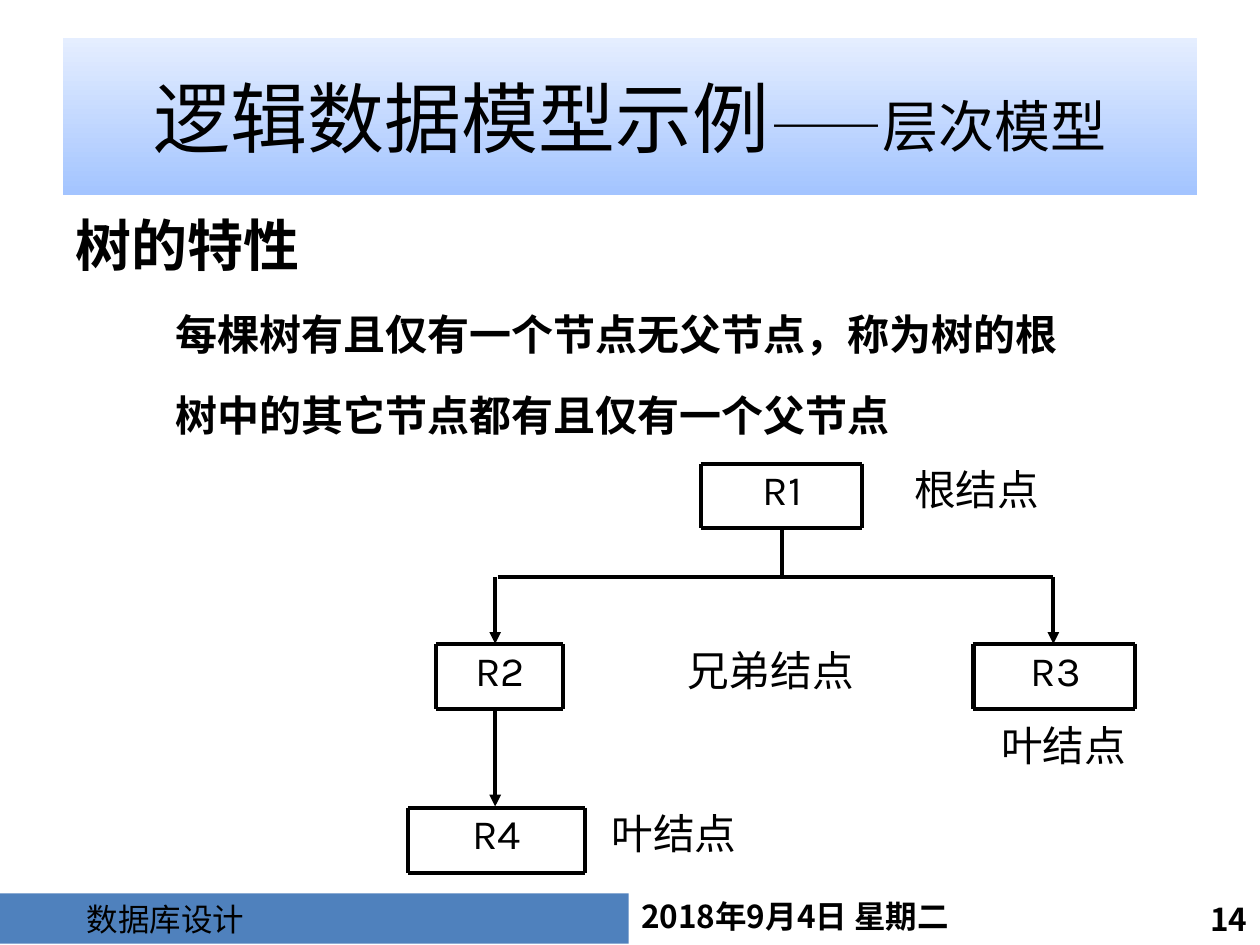
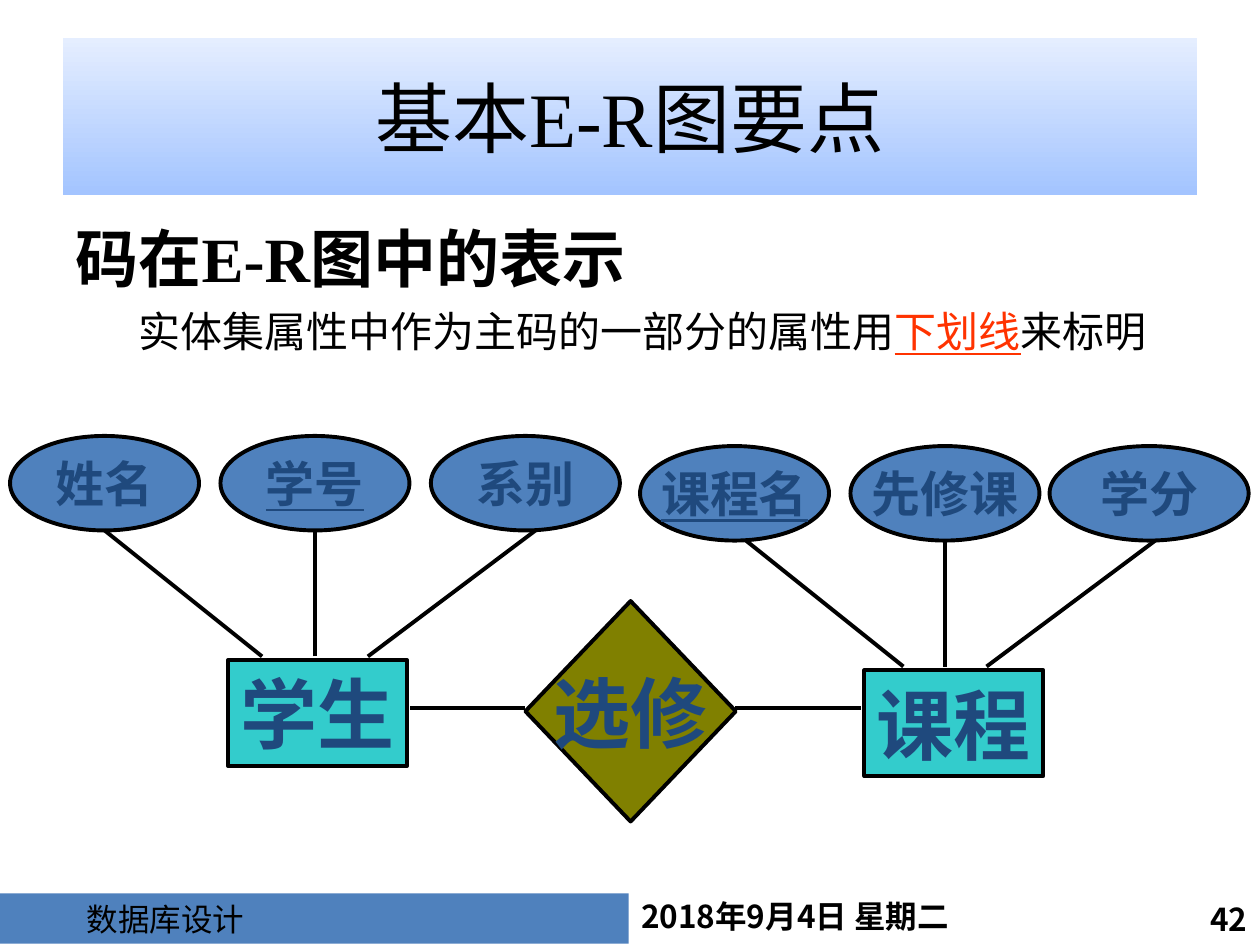
"""Build two database design slides: a hierarchical model and an E-R diagram."""
from dataclasses import dataclass

from lxml import etree
from pptx import Presentation
from pptx.dml.color import RGBColor
from pptx.enum import shapes, text
from pptx.oxml import ns
from pptx.slide import Slide
from pptx.util import Inches, Pt

COLORS = {
    "ink": "000000", "bar": "4F81BD", "band_bottom": "A3C4FF", "band_top": "E5EEFF",
    "accent": "FF3300", "entity": "33CCCC", "relation": "808000", "label": "1F497D",
}
CHINESE, SERIF, SANS, TREE_FONT = "Noto Sans CJK SC", "Times New Roman", "Calibri", "Karla"
HEAVY, THIN = 2.25, 1
TREE_TEXT_HEIGHT = 0.51
ATTRIBUTE_HEIGHT = 0.75
ENTITY_WIDTH, ENTITY_HEIGHT = 1.42, 0.84
LEFT, CENTER, RIGHT = text.PP_ALIGN.LEFT, text.PP_ALIGN.CENTER, text.PP_ALIGN.RIGHT
TOP, MIDDLE = text.MSO_ANCHOR.TOP, text.MSO_ANCHOR.MIDDLE
SHAPE = shapes.MSO_SHAPE


@dataclass(frozen=True)
class Span:
    """A run of text with its format."""
    words: str
    size: float
    font: str = CHINESE
    color: str = "ink"
    bold: bool = False
    underline: bool = False


@dataclass(frozen=True)
class Para:
    """A paragraph of spans with its layout."""
    spans: tuple[Span, ...]
    align: text.PP_ALIGN = LEFT
    level: int = 0
    indent: float = 0
    before: float = 0
    spacing: float = 1.0


@dataclass(frozen=True)
class Area:
    """A rectangle on the slide in inches."""
    left: float
    top: float
    width: float
    height: float


@dataclass(frozen=True)
class Line:
    """A straight line in inches, with an optional arrowhead."""
    x1: float
    y1: float
    x2: float
    y2: float
    arrow: bool = False
    weight: float = HEAVY


@dataclass(frozen=True)
class TreeText:
    """A node name or caption of the tree."""
    words: str
    left: float
    top: float
    width: float


@dataclass(frozen=True)
class Frame:
    """A node outline, whose inner thin sides may be shifted."""
    left: float
    right: float
    top: float
    height: float = 0.52
    thin_sides: tuple[float, ...] = ()


@dataclass(frozen=True)
class Attribute:
    """An attribute ellipse and the point where its spoke starts."""
    words: str
    left: float
    spoke: float
    width: float = 1.5
    key: bool = False


@dataclass(frozen=True)
class Entity:
    """An entity with its attributes above it."""
    words: str
    left: float
    top: float
    center: float
    reach: float
    attributes: tuple[Attribute, ...]


TREE_TEXTS = (
    TreeText("R1", 5.57, 3.68, 1.28),
    TreeText("R2", 3.03, 5.11, 1.88),
    TreeText("R3", 7.74, 5.11, 1.28),
    TreeText("R4", 3.23, 6.41, 1.42),
    TreeText("根结点", 6.85, 3.68, 1.8),
    TreeText("兄弟结点", 5.18, 5.11, 1.87),
    TreeText("叶结点", 7.73, 5.71, 1.42),
    TreeText("叶结点", 4.64, 6.41, 1.42),
)
TREE_FRAMES = (
    Frame(5.56, 6.84, 3.68, 0.51, (5.57, 6.85)),
    Frame(3.46, 4.47, 5.11),
    Frame(7.72, 9.01, 5.11, thin_sides=(7.74, 9.02)),
    Frame(3.24, 4.64, 6.41, thin_sides=(3.23, 4.64)),
)
TREE_LINES = (
    Line(6.21, 4.21, 6.21, 4.58),
    Line(3.95, 4.58, 8.36, 4.58),
    Line(3.93, 4.58, 3.93, 5.11, True),
    Line(8.36, 4.58, 8.36, 5.11, True),
    Line(3.93, 5.64, 3.93, 6.4, True),
)
ENTITIES = (
    Entity("学生", 1.81, 3.46, 2.5, 0.42, (
        Attribute("姓名", 0.08, 0.83),
        Attribute("学号", 1.75, 2.5, key=True),
        Attribute("系别", 3.42, 4.25))),
    Entity("课程", 6.86, 3.54, 7.5, 0.33, (
        Attribute("课程名", 5.08, 5.92, key=True),
        Attribute("先修课", 6.75, 7.5),
        Attribute("学分", 8.33, 9.17, width=1.58))),
)


def rgb(name: str) -> RGBColor:
    """Look up a named colour."""
    return RGBColor.from_string(COLORS[name])


def place(shape, area: Area) -> None:
    """Move and size a shape."""
    shape.left, shape.top = Inches(area.left), Inches(area.top)
    shape.width, shape.height = Inches(area.width), Inches(area.height)


def write(shape, paras: list[Para], anchor=TOP, wrap: bool = True) -> None:
    """Fill a shape with formatted paragraphs."""
    frame = shape.text_frame
    frame.word_wrap = wrap
    frame.auto_size = text.MSO_AUTO_SIZE.NONE
    frame.vertical_anchor = anchor
    frame.text = "\n".join("" for _ in paras)
    for paragraph, para in zip(frame.paragraphs, paras):
        paragraph.alignment = para.align
        paragraph.level = para.level
        paragraph.space_before = Pt(para.before)
        paragraph.line_spacing = para.spacing
        properties = paragraph._p.get_or_add_pPr()
        properties.set("marL", str(Inches(para.indent)))
        properties.set("indent", "0")
        etree.SubElement(properties, ns.qn("a:buNone"))
        for span in para.spans:
            run = paragraph.add_run()
            run.text = span.words
            run.font.size = Pt(span.size)
            run.font.bold = span.bold
            run.font.underline = span.underline
            run.font.color.rgb = rgb(span.color)
            run.font.name = span.font
            east_asian = etree.SubElement(run._r.get_or_add_rPr(), ns.qn("a:ea"))
            east_asian.set("typeface", CHINESE)


def add_text(page: Slide, area: Area, para: Para) -> None:
    """Add a text box with one paragraph."""
    box = page.shapes.add_textbox(0, 0, 0, 0)
    place(box, area)
    write(box, [para])


def add_box(page: Slide, kind: SHAPE, area: Area, para: Para, fill: str,
            outlined: bool = True, anchor=MIDDLE, wrap: bool = False) -> None:
    """Add a filled preset shape with one paragraph."""
    box = page.shapes.add_shape(kind, 0, 0, 0, 0)
    place(box, area)
    box.shadow.inherit = False
    box.fill.solid()
    box.fill.fore_color.rgb = rgb(fill)
    if outlined:
        box.line.color.rgb = rgb("ink")
        box.line.width = Pt(HEAVY)
    else:
        box.line.fill.background()
    write(box, [para], anchor, wrap)


def add_line(page: Slide, line: Line) -> None:
    """Add a black line or arrow."""
    ends = [Inches(value) for value in (line.x1, line.y1, line.x2, line.y2)]
    connector = page.shapes.add_connector(shapes.MSO_CONNECTOR.STRAIGHT, *ends)
    connector.line.color.rgb = rgb("ink")
    connector.line.width = Pt(line.weight)
    if line.arrow:
        etree.SubElement(connector.line._get_or_add_ln(), ns.qn("a:tailEnd"), type="triangle")
    etree.SubElement(connector._element.spPr, ns.qn("a:effectLst"))


def add_page(deck, title: tuple[Span, ...], body_area: Area, body: list[Para],
             number: int) -> Slide:
    """Add a slide with title band, body list and footer."""
    page = deck.slides.add_slide(deck.slide_layouts[1])
    footer = Para((Span("数据库设计", 18, "Noto Sans CJK JP"),), level=1, indent=0.59)
    add_box(page, SHAPE.RECTANGLE, Area(0, 7.09, 4.99, 0.4), footer, "bar",
            outlined=False, anchor=TOP, wrap=True)
    add_text(page, Area(4.99, 7.07, 3.56, 0.4),
             Para((Span("2018年9月4日 星期二", 18, bold=True),)))
    add_text(page, Area(8.7, 7.09, 1.3, 0.46),
             Para((Span(str(number), 18, bold=True),), RIGHT))

    band = page.shapes.title
    place(band, Area(0.5, 0.3, 9, 1.25))
    band.fill.gradient()
    band.fill.gradient_angle = 90
    for stop, name in zip(band.fill.gradient_stops, ("band_bottom", "band_top")):
        stop.color.rgb = rgb(name)
    write(band, [Para(title, CENTER)], MIDDLE)

    content = page.placeholders[1]
    place(content, body_area)
    write(content, body)
    return page


def add_frame(page: Slide, frame: Frame) -> None:
    """Draw a node outline from lines."""
    bottom = frame.top + frame.height
    for y in (frame.top, bottom):
        add_line(page, Line(frame.left, y, frame.right, y))
    for x in (frame.left, frame.right):
        add_line(page, Line(x, frame.top, x, bottom))
    for x in frame.thin_sides:
        add_line(page, Line(x, frame.top, x, bottom, weight=THIN))


def build_tree(deck) -> None:
    """Build the hierarchical model slide."""
    rules = ("每棵树有且仅有一个节点无父节点，称为树的根", "树中的其它节点都有且仅有一个父节点")
    body = [Para((Span("树的特性", 32, SANS, bold=True),), level=1, before=8, spacing=1.4)]
    body += [Para((Span(rule, 24, SANS, bold=True),), level=2, indent=0.79, before=6, spacing=1.4)
             for rule in rules]
    title = (Span("逻辑数据模型示例", 44), Span("——层次模型", 32))
    page = add_page(deck, title, Area(0.5, 1.41, 9.19, 2.25), body, 14)
    for item in TREE_TEXTS:
        add_text(page, Area(item.left, item.top, item.width, TREE_TEXT_HEIGHT),
                 Para((Span(item.words, 23.8, TREE_FONT),), CENTER, before=7, spacing=0.9))
    for frame in TREE_FRAMES:
        add_frame(page, frame)
    for line in TREE_LINES:
        add_line(page, line)


def label(words: str, size: float, underline: bool = False) -> Para:
    """Make the centred bold label of a diagram shape."""
    return Para((Span(words, size, SERIF, "label", True, underline),), CENTER)


def add_entity(page: Slide, entity: Entity) -> None:
    """Draw an entity, its attributes and the spokes between them."""
    add_box(page, SHAPE.RECTANGLE,
            Area(entity.left, entity.top + 1.78, ENTITY_WIDTH, ENTITY_HEIGHT),
            label(entity.words, 44), "entity")
    spoke_top = entity.top + ATTRIBUTE_HEIGHT
    for side, attribute in enumerate(entity.attributes, -1):
        add_box(page, SHAPE.OVAL,
                Area(attribute.left, entity.top, attribute.width, ATTRIBUTE_HEIGHT),
                label(attribute.words, 28, attribute.key), "bar")
        add_line(page, Line(entity.center + side * entity.reach, spoke_top + 1,
                            attribute.spoke, spoke_top))


def build_er_diagram(deck) -> None:
    """Build the E-R diagram slide."""
    body = [
        Para((Span("码在E-R图中的表示", 36, SERIF, bold=True),), before=9),
        Para((Span("实体集属性中作为主码的一部分的属性用", 24, SERIF),
              Span("下划线", 24, SERIF, "accent", underline=True),
              Span("来标明", 24, SERIF)), level=1, indent=0.5, before=6),
    ]
    title = (Span("基本E-R图要点", 44, SERIF),)
    page = add_page(deck, title, Area(0.5, 1.69, 9, 4.34), body, 42)
    for entity in ENTITIES:
        add_entity(page, entity)
    add_box(page, SHAPE.DIAMOND, Area(4.17, 4.77, 1.67, 1.75), label("选修", 44), "relation")
    for start, end in ((4.17, 3.25), (6.83, 5.83)):
        add_line(page, Line(start, 5.62, end, 5.62))


def main() -> None:
    """Build and save the deck."""
    deck = Presentation()
    deck.slide_width, deck.slide_height = Inches(10), Inches(7.5)
    build_tree(deck)
    build_er_diagram(deck)
    deck.save("out.pptx")


if __name__ == "__main__":
    main()
